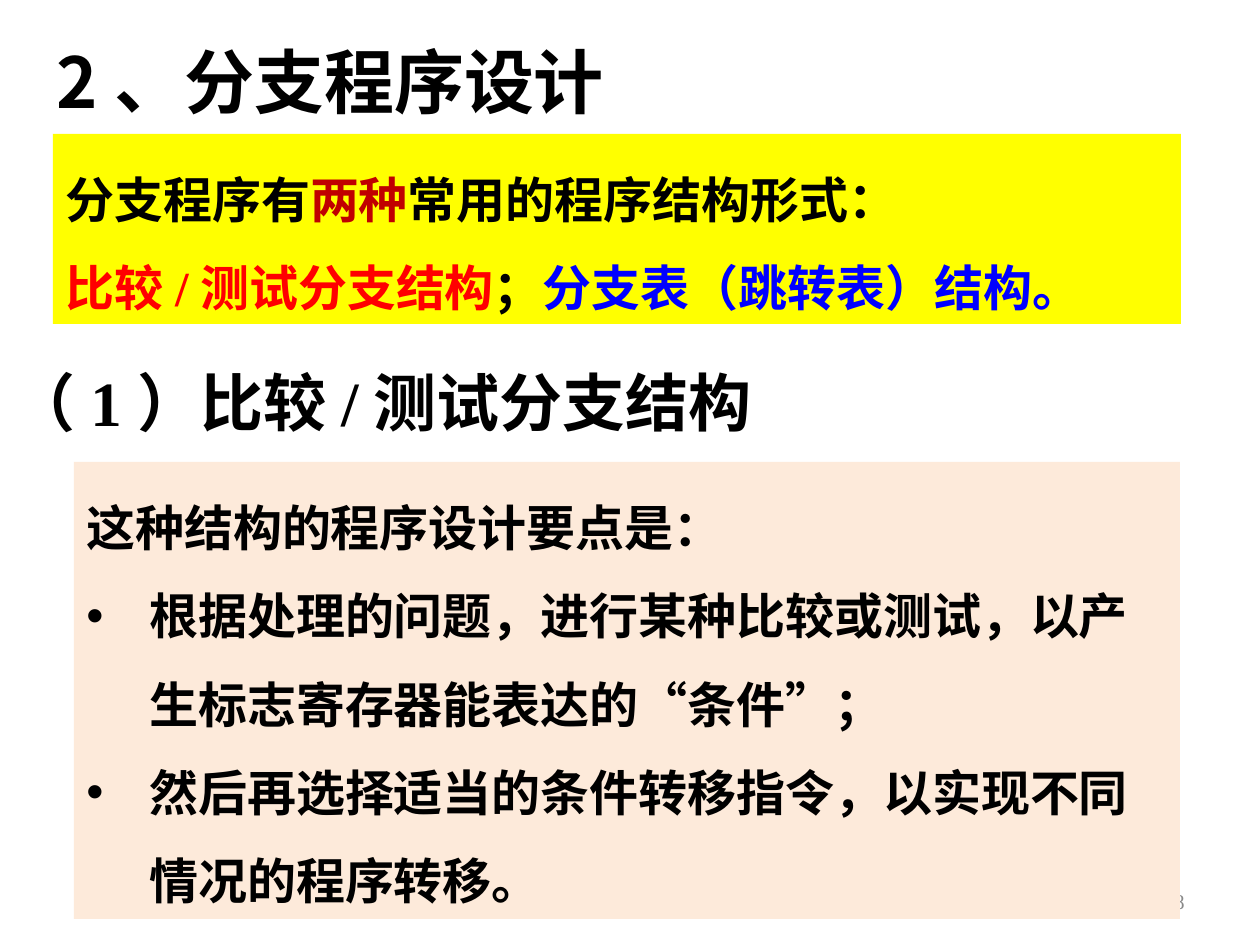
from dataclasses import dataclass

from lxml.etree import SubElement
from pptx import Presentation
from pptx.dml.color import RGBColor
from pptx.enum.shapes import MSO_SHAPE
from pptx.enum.text import MSO_ANCHOR as Anchor, MSO_AUTO_SIZE as AutoSize, PP_ALIGN as Align
from pptx.oxml.ns import qn
from pptx.util import Emu, Pt

SCALE = 914400 / 126
COLORS = {
    "black": "000000", "grey": "898989", "dark_red": "C00000", "red": "FF0000",
    "blue": "0000FF", "yellow": "FFFF00", "peach": "FDEADA",
}
SERIF = "Times New Roman"
SANS = "Noto Sans CJK SC"


@dataclass(frozen=True)
class Run:
    text: str
    color: str = "black"


@dataclass(frozen=True)
class Para:
    runs: tuple[Run, ...]
    bullet: bool = False


@dataclass(frozen=True)
class Block:
    box: tuple[int, int, int, int]
    paras: tuple[Para, ...]
    size: int = 28
    fill: str | None = None
    font: str = SERIF
    bold: bool = True
    align: Align = Align.LEFT
    anchor: Anchor = Anchor.TOP
    spacing: float = 1.0
    grow: bool = True


BLOCKS = (
    Block((903, 876, 294, 50), (Para((Run("78", "grey"),)),), size=12, bold=False,
          align=Align.RIGHT, anchor=Anchor.MIDDLE, grow=False),
    Block((44, 32, 693, 97), (Para((Run("2、分支程序设计"),)),), size=40, font=SANS),
    Block((0, 357, 1150, 89), (Para((Run("（1）比较/测试分支结构"),)),), size=36),
    Block((74, 462, 1106, 457), (
        Para((Run("这种结构的程序设计要点是："),)),
        Para((Run("根据处理的问题，进行某种比较或测试，以产生标志寄存器能表达的“条件”；"),), bullet=True),
        Para((Run("然后再选择适当的条件转移指令，以实现不同情况的程序转移。"),), bullet=True),
    ), fill="peach", spacing=1.5),
    Block((53, 134, 1128, 190), (
        Para((Run("分支程序有"), Run("两种", "dark_red"), Run("常用的程序结构形式："))),
        Para((Run("比较/测试分支结构", "red"), Run("；"), Run("分支表（跳转表）结构。", "blue"))),
    ), fill="yellow", spacing=1.5),
)


def px(n: int) -> Emu:
    """Turn pixels into EMU."""
    return Emu(round(n * SCALE))


def rgb(name: str) -> RGBColor:
    """Look up a named colour."""
    return RGBColor.from_string(COLORS[name])


def add_bullet(p) -> None:
    """Give a paragraph a round bullet with a hanging indent."""
    pPr = p._p.get_or_add_pPr()
    pPr.set("marL", str(px(63)))
    pPr.set("indent", str(-px(63)))
    SubElement(pPr, qn("a:buFont"), typeface="Arial")
    SubElement(pPr, qn("a:buChar"), char="•")


def add_run(p, text: str, *, size: int, font: str, bold: bool, color: str) -> None:
    """Add a formatted run with its East Asian font."""
    r = p.add_run()
    r.text = text
    r.font.size = Pt(size)
    r.font.bold = bold
    r.font.name = font
    r.font.color.rgb = rgb(color)
    SubElement(r._r.get_or_add_rPr(), qn("a:ea"), typeface=SANS)


def add_block(s, block: Block) -> None:
    """Draw one text box or filled panel."""
    box = [px(n) for n in block.box]
    if block.fill:
        sp = s.shapes.add_shape(MSO_SHAPE.RECTANGLE, *box)
        sp.shadow.inherit = False
        sp.fill.solid()
        sp.fill.fore_color.rgb = rgb(block.fill)
        sp.line.fill.background()
    else:
        sp = s.shapes.add_textbox(*box)
    tf = sp.text_frame
    tf.word_wrap = True
    tf.auto_size = AutoSize.SHAPE_TO_FIT_TEXT if block.grow else AutoSize.NONE
    tf.vertical_anchor = block.anchor
    for i, para in enumerate(block.paras):
        p = tf.add_paragraph() if i else tf.paragraphs[0]
        if para.bullet:
            add_bullet(p)
        p.alignment = block.align
        p.line_spacing = block.spacing
        for run in para.runs:
            add_run(p, run.text, size=block.size, font=block.font, bold=block.bold, color=run.color)


def main() -> None:
    """Build and save the slide."""
    prs = Presentation()
    prs.slide_width, prs.slide_height = px(1260), px(945)
    s = prs.slides.add_slide(prs.slide_layouts[6])
    for block in BLOCKS:
        add_block(s, block)
    prs.save("out.pptx")


if __name__ == "__main__":
    main()
